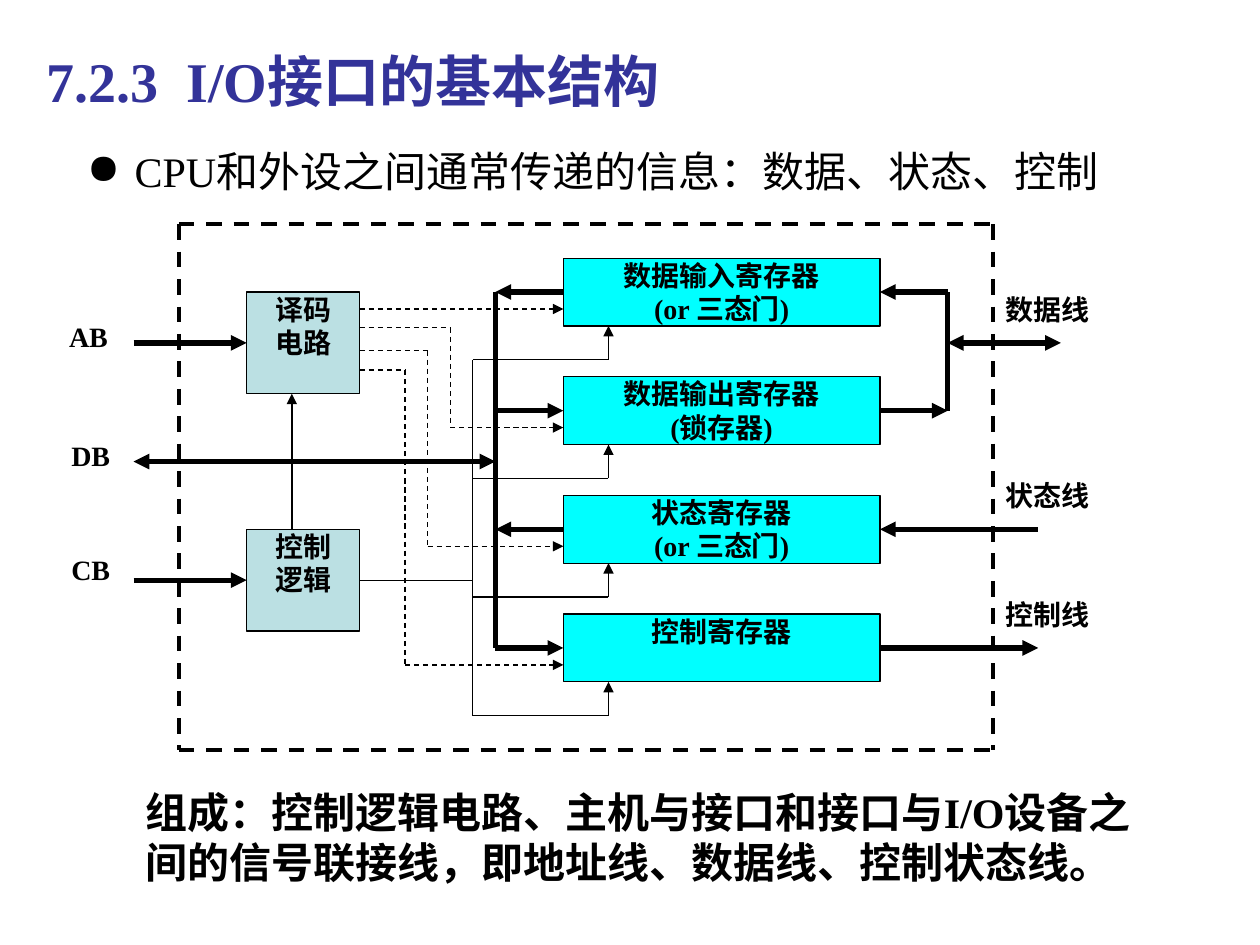
from pptx import Presentation
from pptx.dml.color import RGBColor
from pptx.enum.dml import MSO_LINE
from pptx.enum.shapes import MSO_CONNECTOR, MSO_SHAPE
from pptx.enum.text import MSO_ANCHOR, PP_ALIGN
from pptx.oxml.ns import qn
from pptx.util import Inches, Pt
from lxml import etree

DASH = MSO_LINE.DASH
STRAIGHT = MSO_CONNECTOR.STRAIGHT
RECT = MSO_SHAPE.RECTANGLE
TOP, MID = MSO_ANCHOR.TOP, MSO_ANCHOR.MIDDLE
LEFT, MIDST = PP_ALIGN.LEFT, PP_ALIGN.CENTER

FONT = "Times New Roman"
HUES = {"title": "333399", "ink": "000000", "logic": "BBE0E3", "store": "00FFFF"}
COL, ROW = 0.1795, 0.1345
ORG_X, ORG_Y = 1.06, 1.78
BUS, CTRL, PORT, EDGE, LOOP = 16, 15, 19, 33, 36
STEP = 7
THICK, THIN, FRAME = 3, 0.75, 2.25


def hue(name):
    return RGBColor.from_string(HUES[name])


def spot(col, row):
    return Inches(ORG_X + col * COL), Inches(ORG_Y + row * ROW)


def write(shape, lines, size, bold=True, tint="ink", align=LEFT, anchor=TOP, pad=0.05):
    frame = shape.text_frame
    frame.word_wrap = True
    frame.vertical_anchor = anchor
    frame.margin_top = frame.margin_bottom = Inches(pad)
    for i, line in enumerate(lines):
        para = frame.paragraphs[0] if i == 0 else frame.add_paragraph()
        para.alignment = align
        run = para.add_run()
        run.text = line
        run.font.name = FONT
        run.font.size = Pt(size)
        run.font.bold = bold
        run.font.color.rgb = hue(tint)
    return frame


def note(slide, area, text, size, **style):
    box = slide.shapes.add_textbox(*map(Inches, area))
    return write(box, [text], size, **style)


def bullet(para):
    props = para._p.get_or_add_pPr()
    props.set("marL", str(Inches(0.38)))
    props.set("indent", str(-Inches(0.38)))
    etree.SubElement(props, qn("a:buChar")).set("char", "●")
    para.line_spacing = 0.9


def label(slide, col, row, width, text):
    box = slide.shapes.add_textbox(*spot(col, row), Inches(width), Inches(0.4))
    write(box, [text], 16, pad=0)


def block(slide, col, row, cols, rows, fill, lines):
    box = slide.shapes.add_shape(RECT, *spot(col, row), Inches(cols * COL), Inches(rows * ROW))
    box.shadow.inherit = False
    box.fill.solid()
    box.fill.fore_color.rgb = hue(fill)
    box.line.color.rgb = hue("ink")
    box.line.width = Pt(THIN)
    write(box, lines, 16, align=MIDST, pad=0)


def wire(slide, points, width=THICK, head=False, tail=False, dash=False):
    last = len(points) - 2
    for i, (start, end) in enumerate(zip(points, points[1:])):
        link = slide.shapes.add_connector(STRAIGHT, *spot(*start), *spot(*end))
        link.line.color.rgb = hue("ink")
        link.line.width = Pt(width)
        if dash:
            link.line.dash_style = DASH
        pen = link.line._get_or_add_ln()
        for tag, shown in (("a:headEnd", head and i == 0), ("a:tailEnd", tail and i == last)):
            if shown:
                etree.SubElement(pen, qn(tag)).set("type", "triangle")
        etree.SubElement(link._element.spPr, qn("a:effectLst"))


def blocks(slide):
    names = [
        ["数据输入寄存器", "(or 三态门)"],
        ["数据输出寄存器", "(锁存器)"],
        ["状态寄存器", "(or 三态门)"],
        ["控制寄存器"],
    ]
    for i, lines in enumerate(names):
        block(slide, PORT, 2 + i * STEP, EDGE - PORT, 4, "store", lines)
    block(slide, 5, 4, 5, 6, "logic", ["译码", "电路"])
    block(slide, 5, 18, 5, 6, "logic", ["控制", "逻辑"])


def buses(slide):
    wire(slide, [(BUS, 4), (BUS, 25)])
    for i, inward in enumerate([False, True, False, True]):
        row = 4 + i * STEP
        wire(slide, [(BUS, row), (PORT, row)], head=not inward, tail=inward)
        end = LOOP if i < 2 else 40
        wire(slide, [(EDGE, row), (end, row)], head=not inward, tail=inward)
    wire(slide, [(LOOP, 4), (LOOP, 11)])
    wire(slide, [(LOOP, 7), (41, 7)], head=True, tail=True)
    wire(slide, [(0, 14), (BUS, 14)], head=True, tail=True)
    for row in (7, 21):
        wire(slide, [(0, row), (5, row)], tail=True)


def signals(slide):
    wire(slide, [(10, 5), (PORT, 5)], THIN, tail=True, dash=True)
    for i, (turn, row) in enumerate([(14, 6.1), (13, 7.45), (12, 8.6)], 1):
        goal = 5 + i * STEP
        path = [(10, row), (turn, row), (turn, goal), (PORT, goal)]
        wire(slide, path, THIN, tail=True, dash=True)
    wire(slide, [(7, 18), (7, 10)], 1, tail=True)
    wire(slide, [(10, 21), (CTRL, 21)], THIN)
    wire(slide, [(CTRL, 8), (CTRL, 29)], THIN)
    for i in range(4):
        row = 8 + i * STEP
        wire(slide, [(CTRL, row), (21, row), (21, row - 2)], THIN, tail=True)


def border(slide):
    for col in (2, 38):
        wire(slide, [(col, 0), (col, 31)], FRAME, dash=True)
    for row in (0, 31):
        wire(slide, [(2, row), (38, row)], FRAME, dash=True)


def labels(slide):
    for row, text in ((4, "数据线"), (15, "状态线"), (22, "控制线")):
        label(slide, 38, row, 1.08, text)
    for col, row, text in ((-3.4, 5.65, "AB"), (-3.3, 12.65, "DB"), (-3.3, 19.4, "CB")):
        label(slide, col, row, 0.71, text)


def main():
    deck = Presentation()
    deck.slide_width, deck.slide_height = Inches(10), Inches(7.5)
    slide = deck.slides.add_slide(deck.slide_layouts[6])
    note(slide, (0.27, 0.28, 9.47, 0.71), "7.2.3  I/O接口的基本结构", 32, tint="title", anchor=MID)
    lead = note(slide, (0.59, 1.15, 9.15, 0.63),
                "CPU和外设之间通常传递的信息：数据、状态、控制", 24, bold=False)
    bullet(lead.paragraphs[0])
    labels(slide)
    blocks(slide)
    buses(slide)
    signals(slide)
    border(slide)
    note(slide, (1.06, 6.19, 8.19, 0.9),
         "组成：控制逻辑电路、主机与接口和接口与I/O设备之间的信号联接线，即地址线、数据线、控制状态线。", 24)
    deck.save("out.pptx")


if __name__ == "__main__":
    main()
